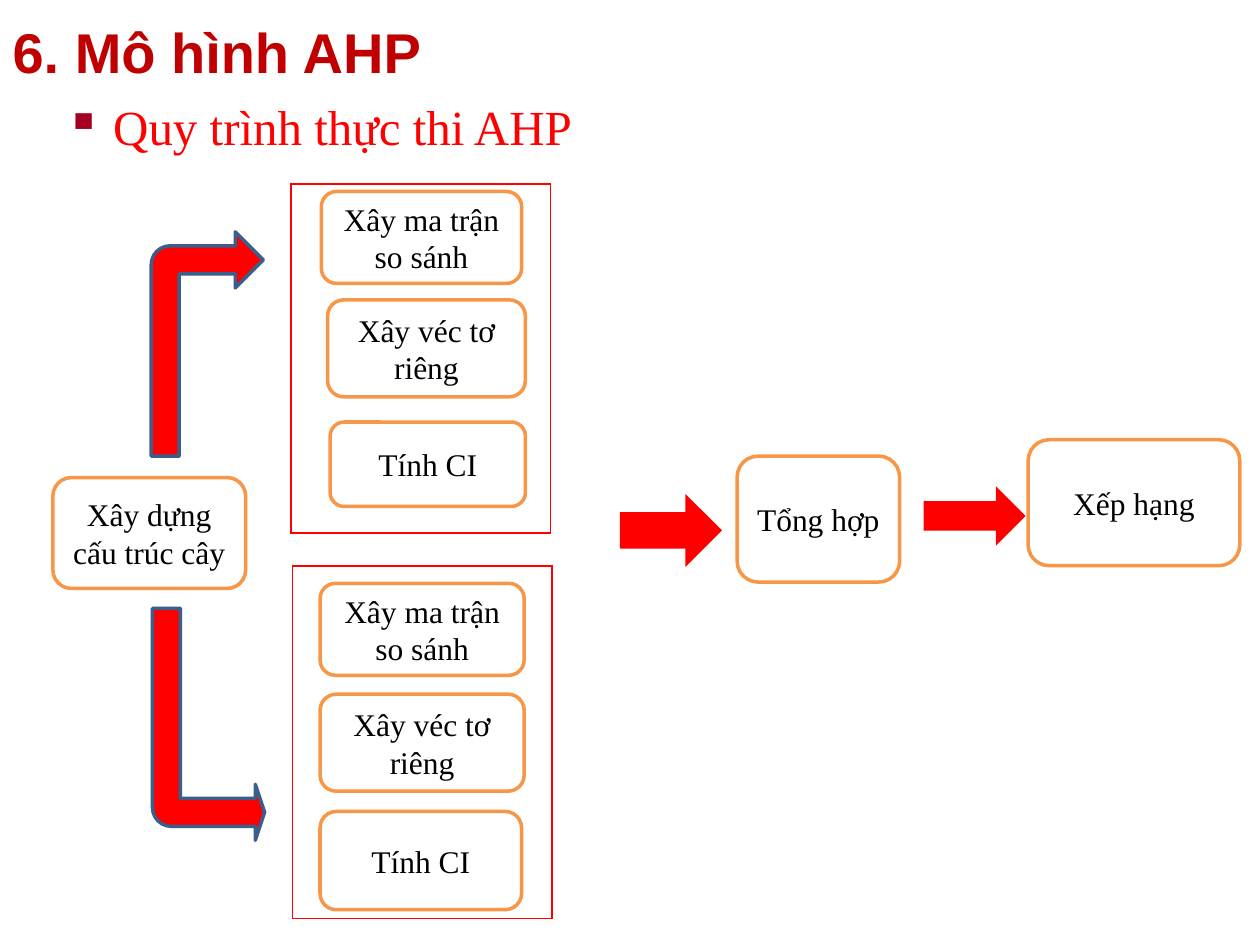
from dataclasses import dataclass

from lxml.etree import SubElement
from pptx import Presentation
from pptx.dml.color import RGBColor
from pptx.enum.shapes import MSO_SHAPE as Preset
from pptx.enum.text import MSO_ANCHOR as Anchor, PP_ALIGN as Align
from pptx.oxml.ns import qn
from pptx.util import Inches, Pt

COLORS = {
    "title": "C00000",
    "red": "FF0000",
    "bullet": "A50021",
    "box_line": "F79646",
    "arrow_line": "3A5F8C",
    "text": "000000",
    "white": "FFFFFF",
}
BODY_FONT = "Times New Roman"


@dataclass(frozen=True)
class Area:
    left: float
    top: float
    width: float
    height: float

    def lengths(self) -> tuple:
        return tuple(map(Inches, (self.left, self.top, self.width, self.height)))


@dataclass(frozen=True)
class Step:
    label: str
    area: Area


@dataclass(frozen=True)
class BentArrow:
    area: Area
    head_length: float
    points_down: bool = False


STEP_LABELS = ("Xây ma trận so sánh", "Xây véc tơ riêng", "Tính CI")
UPPER_AREAS = (
    Area(2.55, 1.52, 1.59, 0.73),
    Area(2.6, 2.38, 1.57, 0.77),
    Area(2.62, 3.35, 1.55, 0.67),
)
LOWER_AREAS = (
    Area(2.54, 4.63, 1.62, 0.73),
    Area(2.54, 5.51, 1.62, 0.77),
    Area(2.54, 6.44, 1.6, 0.78),
)
STEPS = (
    Step("Xây dựng cấu trúc cây", Area(0.42, 3.79, 1.53, 0.88)),
    *map(Step, STEP_LABELS, UPPER_AREAS),
    Step("Tổng hợp", Area(5.85, 3.62, 1.29, 1)),
    Step("Xếp hạng", Area(8.16, 3.49, 1.68, 1)),
    *map(Step, STEP_LABELS, LOWER_AREAS),
)
STRAIGHT_ARROWS = (Area(7.33, 3.86, 0.81, 0.47), Area(4.92, 3.92, 0.81, 0.58))
FRAMES = (Area(2.31, 1.46, 2.06, 2.77), Area(2.32, 4.49, 2.06, 2.8))
BENT_ARROWS = (
    BentArrow(Area(1.2, 1.84, 0.89, 1.78), 0.25),
    BentArrow(Area(1.21, 4.83, 0.89, 1.84), 0.083, points_down=True),
)


def rgb(name: str) -> RGBColor:
    return RGBColor.from_string(COLORS[name])


def set_font(paragraph, name: str, size: int, color: str, bold: bool = False) -> None:
    font = paragraph.font
    font.name, font.size, font.bold = name, Pt(size), bold
    font.color.rgb = rgb(color)


def write_title(slide, text: str, area: Area) -> None:
    title = slide.shapes.title
    title.left, title.top, title.width, title.height = area.lengths()
    frame = title.text_frame
    frame.text = text
    frame.vertical_anchor = Anchor.BOTTOM
    paragraph = frame.paragraphs[0]
    paragraph.alignment = Align.LEFT
    set_font(paragraph, "Arial", 32, "title", bold=True)


def write_bullet(slide, text: str, area: Area) -> None:
    frame = slide.shapes.add_textbox(*area.lengths()).text_frame
    frame.word_wrap = True
    frame.text = text
    paragraph = frame.paragraphs[0]
    paragraph.space_before = Pt(3)
    set_font(paragraph, BODY_FONT, 28, "red")
    properties = paragraph._p.get_or_add_pPr()
    properties.set("marL", str(Inches(0.38)))
    properties.set("indent", str(-Inches(0.38)))
    bullet_color = properties.makeelement(qn("a:buClr"), {})
    SubElement(bullet_color, qn("a:srgbClr"), val=COLORS["bullet"])
    bullet = properties.makeelement(qn("a:buChar"), {"char": "▪"})
    default_run = properties.find(qn("a:defRPr"))
    default_run.addprevious(bullet_color)
    default_run.addprevious(bullet)


def draw_shape(slide, preset: Preset, area: Area, fill: str, line: str | None = None):
    shape = slide.shapes.add_shape(preset, *area.lengths())
    shape.shadow.inherit = False
    shape.fill.solid()
    shape.fill.fore_color.rgb = rgb(fill)
    if line:
        shape.line.color.rgb = rgb(line)
        shape.line.width = Pt(2)
    else:
        shape.line.fill.background()
    return shape


def draw_step(slide, step: Step) -> None:
    box = draw_shape(slide, Preset.FLOWCHART_ALTERNATE_PROCESS, step.area, "white", "box_line")
    frame = box.text_frame
    frame.word_wrap = True
    frame.vertical_anchor = Anchor.MIDDLE
    frame.text = step.label
    paragraph = frame.paragraphs[0]
    paragraph.alignment = Align.CENTER
    set_font(paragraph, BODY_FONT, 18, "text")


def draw_bent_arrow(slide, arrow: BentArrow) -> None:
    shape = draw_shape(slide, Preset.BENT_ARROW, arrow.area, "red", "arrow_line")
    for index, value in enumerate((0.25, 0.25, arrow.head_length, 0.168)):
        shape.adjustments[index] = value
    if arrow.points_down:
        shape._element.spPr.find(qn("a:xfrm")).set("flipV", "1")


def draw_frame(slide, area: Area) -> None:
    """Outline a group of steps with a one-cell table."""
    table = slide.shapes.add_table(1, 1, *area.lengths()).table
    table.first_row = table.horz_banding = False
    cell = table.cell(0, 0)
    properties = cell._tc.get_or_add_tcPr()
    for side in ("lnL", "lnR", "lnT", "lnB"):
        border = SubElement(properties, qn(f"a:{side}"), w=str(Pt(1)))
        fill = SubElement(border, qn("a:solidFill"))
        SubElement(fill, qn("a:srgbClr"), val=COLORS["red"])
    cell.fill.background()


def main() -> None:
    deck = Presentation()
    deck.slide_width, deck.slide_height = Inches(10), Inches(7.5)
    slide = deck.slides.add_slide(deck.slide_layouts[5])
    write_title(slide, "6. Mô hình AHP", Area(0, 0, 9, 0.72))
    write_bullet(slide, "Quy trình thực thi AHP", Area(0.42, 0.72, 9.25, 0.58))
    for step in STEPS:
        draw_step(slide, step)
    for area in STRAIGHT_ARROWS:
        draw_shape(slide, Preset.RIGHT_ARROW, area, "red")
    for area in FRAMES:
        draw_frame(slide, area)
    for arrow in BENT_ARROWS:
        draw_bent_arrow(slide, arrow)
    deck.save("out.pptx")


if __name__ == "__main__":
    main()
